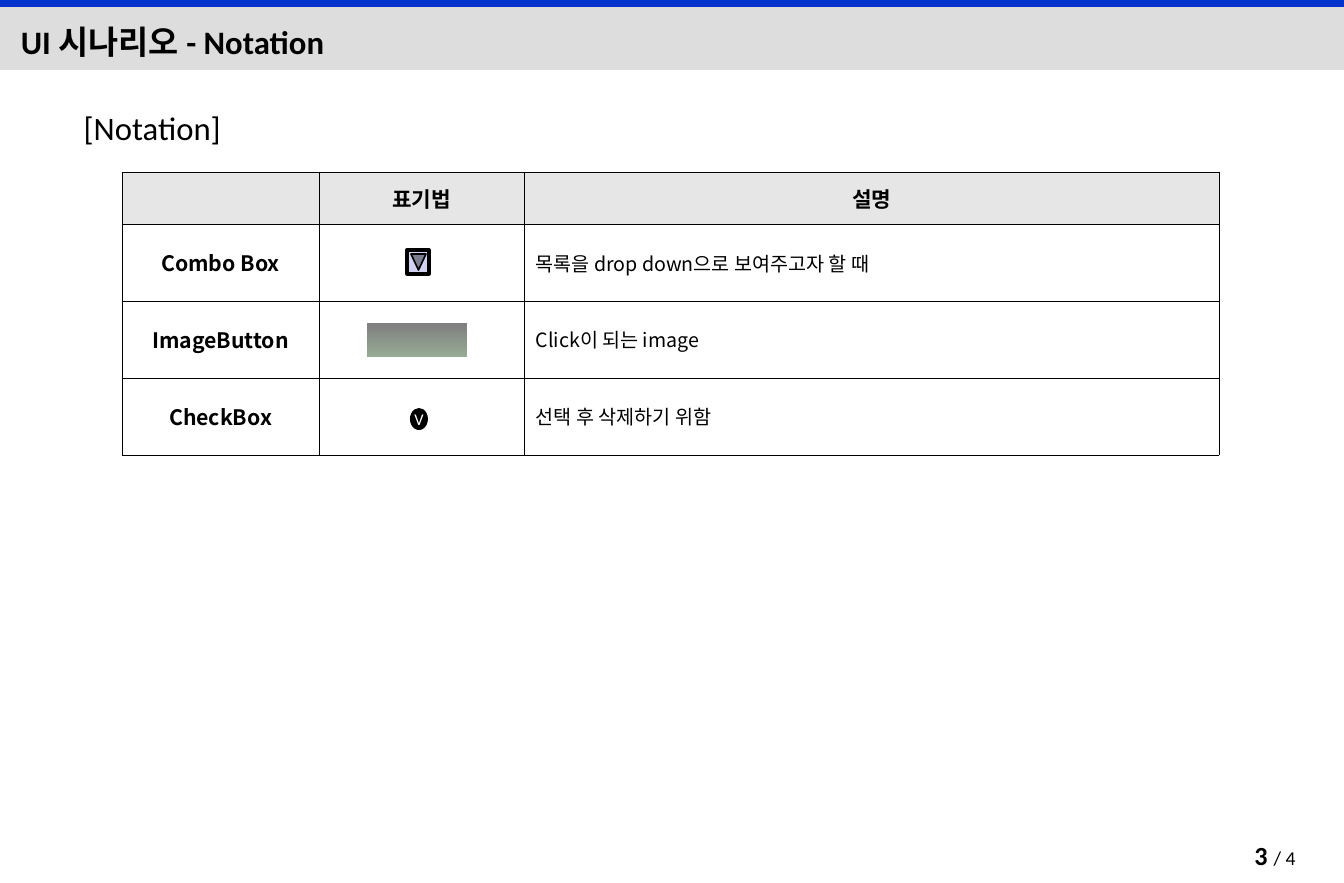
from dataclasses import dataclass

from lxml.etree import SubElement
from pptx import Presentation
from pptx.dml.color import RGBColor
from pptx.enum.shapes import MSO_SHAPE
from pptx.enum.text import MSO_ANCHOR, MSO_AUTO_SIZE, PP_ALIGN
from pptx.oxml.ns import qn
from pptx.util import Emu, Pt


@dataclass(frozen=True)
class Theme:
    """Colours, fonts and type sizes of the slide."""
    black: str = "000000"
    white: str = "FFFFFF"
    bar: str = "DDDDDD"
    accent: str = "0033CC"
    header: str = "E6E6E6"
    lavender: str = "D1D1F0"
    arrow: str = "7D7D90"
    button: tuple = ("7F7F7F", "96AB94")
    latin: str = "Calibri"
    korean: str = "Noto Sans CJK KR"
    title: int = 20
    page: int = 16
    label: int = 13
    body: int = 12
    mark: int = 10


T = Theme()
PX = 7769
HEADER_H = 52
COLUMNS = (197, 205, 695)
ROWS = (
    ("", "표기법", "설명"),
    ("Combo Box", "", "목록을 drop down으로 보여주고자 할 때"),
    ("ImageButton", "", "Click이 되는 image"),
    ("CheckBox", "", "선택 후 삭제하기 위함"),
)


def px(*lengths):
    """Turn pixel lengths into EMU."""
    return [Emu(n * PX) for n in lengths]


def style(r, size, bold=False, color=T.black, font=T.latin):
    """Format one run, with the Korean face for East Asian text."""
    r.font.size, r.font.bold, r.font.name = Pt(size), bold, font
    r.font.color.rgb = RGBColor.from_string(color)
    SubElement(r.font._element, qn("a:ea")).set("typeface", T.korean)


def add_block(s, kind, box, fill=None, line=None, width=1):
    """Add a flat preset shape in the given box."""
    sp = s.shapes.add_shape(kind, *px(*box))
    sp.shadow.inherit = False
    if fill:
        sp.fill.solid()
        sp.fill.fore_color.rgb = RGBColor.from_string(fill)
    if line:
        sp.line.color.rgb = RGBColor.from_string(line)
        sp.line.width = Pt(width)
    else:
        sp.line.fill.background()
    return sp


def add_heading(s, box):
    """Place the title bar, its accent strip and the title."""
    x, y, w, h = box
    add_block(s, MSO_SHAPE.RECTANGLE, box, T.bar)
    add_block(s, MSO_SHAPE.RECTANGLE, (x, y, w, 7), T.accent)
    title = s.shapes.title
    s.shapes._spTree.append(title._element)
    title.left, title.top, title.width, title.height = px(x + 9, y + 11, 601, 52)
    tf = title.text_frame
    tf.text = "UI 시나리오 - Notation"
    tf.auto_size = MSO_AUTO_SIZE.NONE
    tf.vertical_anchor = MSO_ANCHOR.BOTTOM
    tf.margin_top, tf.margin_bottom = px(2, 2)
    tf.paragraphs[0].alignment = PP_ALIGN.LEFT
    style(tf.paragraphs[0].runs[0], T.title, True)


def add_caption(s, box):
    """Place the caption above the table."""
    tf = s.shapes.add_textbox(*px(*box)).text_frame
    tf.text = "[Notation]"
    tf.word_wrap = False
    style(tf.paragraphs[0].runs[0], T.title)


def add_borders(cell):
    """Draw hairlines on the four sides of a cell."""
    tc_pr = cell._tc.get_or_add_tcPr()
    for side in ("lnL", "lnR", "lnT", "lnB"):
        ln = SubElement(tc_pr, qn(f"a:{side}"), w=str(Pt(0.11)))
        SubElement(SubElement(ln, qn("a:solidFill")), qn("a:srgbClr"), val=T.black)


def add_combo_box(s, cx, cy):
    """Draw a drop-down button around a centre."""
    add_block(s, MSO_SHAPE.RECTANGLE, (cx - 11, cy - 12, 22, 24), T.lavender, T.black, 2)
    add_block(s, MSO_SHAPE.FLOWCHART_MERGE, (cx - 7, cy - 8, 15, 16), T.arrow, T.black)


def add_image_button(s, cx, cy):
    """Draw a gradient button around a centre."""
    sp = add_block(s, MSO_SHAPE.RECTANGLE, (cx - 51, cy + 1, 100, 34))
    sp.top -= px(17)[0]
    sp.fill.gradient()
    sp.fill.gradient_angle = 270
    for stop, color in zip(sp.fill.gradient_stops, T.button):
        stop.color.rgb = RGBColor.from_string(color)


def add_check_box(s, cx, cy):
    """Draw a round check mark around a centre."""
    sp = add_block(s, MSO_SHAPE.OVAL, (cx - 8, cy - 8, 18, 22), T.black)
    tf = sp.text_frame
    tf.text = "V"
    tf.word_wrap = False
    tf.margin_left = tf.margin_right = tf.margin_top = tf.margin_bottom = 0
    tf.vertical_anchor = MSO_ANCHOR.MIDDLE
    tf.paragraphs[0].alignment = PP_ALIGN.CENTER
    style(tf.paragraphs[0].runs[0], T.mark, color=T.white)


def add_notation_table(s, box):
    """Place the notation table and the symbols in its middle column."""
    x, y, w, h = box
    table = s.shapes.add_table(len(ROWS), len(COLUMNS), *px(*box)).table
    table.first_row = table.horz_banding = False
    row_h = (h - HEADER_H) // (len(ROWS) - 1)
    for column, width in zip(table.columns, px(*COLUMNS)):
        column.width = width
    for i, texts in enumerate(ROWS):
        table.rows[i].height = px(row_h if i else HEADER_H)[0]
        for j, text in enumerate(texts):
            cell = table.cell(i, j)
            add_borders(cell)
            cell.fill.solid()
            cell.fill.fore_color.rgb = RGBColor.from_string(T.white if i else T.header)
            cell.vertical_anchor = MSO_ANCHOR.MIDDLE
            if not text:
                continue
            is_label = i == 0 or j == 0
            cell.text_frame.text = text
            p = cell.text_frame.paragraphs[0]
            p.alignment = PP_ALIGN.CENTER if is_label else PP_ALIGN.LEFT
            style(p.runs[0], T.label if is_label else T.body, is_label, font=T.korean)
    cx = x + COLUMNS[0] + COLUMNS[1] // 2 - 3
    for i, draw in enumerate((add_combo_box, add_image_button, add_check_box)):
        draw(s, cx, y + HEADER_H + i * row_h + row_h // 2)


def add_page_number(s, box):
    """Place the page number and the page count."""
    p = s.shapes.add_textbox(*px(*box)).text_frame.paragraphs[0]
    p.alignment = PP_ALIGN.CENTER
    for text, size, bold in (("3 ", T.page, True), ("/ 4", T.body, False)):
        r = p.add_run()
        r.text = text
        style(r, size, bold)


def main():
    """Build the notation slide and save it."""
    prs = Presentation()
    prs.slide_width, prs.slide_height = px(1344, 883)
    s = prs.slides.add_slide(prs.slide_layouts[5])
    add_heading(s, (0, 0, 1344, 70))
    add_caption(s, (72, 102, 180, 52))
    add_notation_table(s, (122, 172, sum(COLUMNS), 284))
    add_page_number(s, (1206, 834, 138, 28))
    prs.save("out.pptx")


if __name__ == "__main__":
    main()
